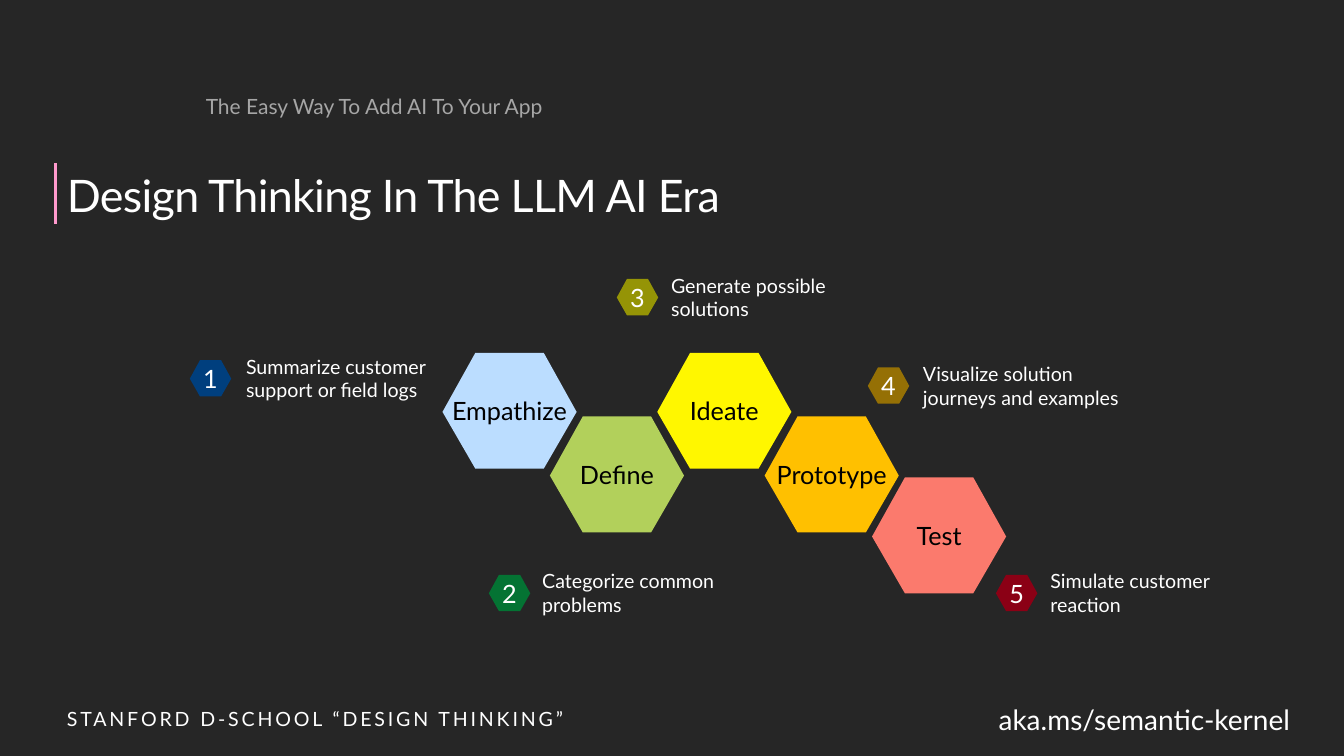
import pptx
import pptx.dml.color
import pptx.enum.shapes
import pptx.enum.text
import pptx.oxml.ns
import pptx.util
from lxml import etree

Pt = pptx.util.Pt
ALIGN = pptx.enum.text.PP_ALIGN
ANCHOR = pptx.enum.text.MSO_ANCHOR
FONT = "Lato"
WHITE, BLACK, GRAY = "FFFFFF", "000000", "A6A6A6"

# Hexagon corners as fractions of its width and height
CORNERS = [(0, 0.51), (0.245, 0), (0.755, 0), (1, 0.51), (0.755, 1), (0.245, 1)]

STAGE_SIZE = (95.8, 82.8)
STAGE_LEFT, STAGE_STEP = 316.1, 76.7
STAGES = [  # name, top, fill
    ("Empathize", 252, "BBDDFF"),
    ("Define", 297.5, "B2D05B"),
    ("Ideate", 252, "FFF700"),
    ("Prototype", 297.5, "FFC000"),
    ("Test", 341, "FB7A6D"),
]

BADGE_SIZE = (29.6, 25.9)
CALLOUTS = [  # badge left, badge top, fill, label left, label width, label
    (135.6, 257.3, "003F7E", 171.4, 142, "Summarize customer support or field logs"),
    (349.2, 410.6, "047333", 383, 142, "Categorize common problems"),
    (440.6, 199.3, "959406", 475, 142, "Generate possible solutions"),
    (619.9, 262.5, "957005", 655, 155.5, "Visualize solution journeys and examples"),
    (711.4, 410.6, "8B0015", 746, 142, "Simulate customer reaction"),
]


def color(hex_string):
    return pptx.dml.color.RGBColor.from_string(hex_string)


def write_text(shape, text, size, text_color, insets=(0, 0, 0, 0),
               anchor=ANCHOR.TOP, align=ALIGN.LEFT, spacing=0):
    frame = shape.text_frame
    frame.word_wrap = True
    frame.vertical_anchor = anchor
    frame.margin_left, frame.margin_top, frame.margin_right, frame.margin_bottom = map(Pt, insets)
    para = frame.paragraphs[0]
    para.alignment = align
    para.font.name = FONT
    para.font.size = Pt(size)
    para.font.color.rgb = color(text_color)
    span = para.add_run()
    span.text = text
    if spacing:
        span._r.get_or_add_rPr().set("spc", str(round(spacing * 100)))


def add_text(shapes, left, top, width, height, text, size, text_color=WHITE, **options):
    box = shapes.add_textbox(Pt(left), Pt(top), Pt(width), Pt(height))
    write_text(box, text, size, text_color, **options)


def add_hexagon(shapes, left, top, size, fill, text, text_color):
    width, height = size
    points = [(Pt(left + x * width), Pt(top + y * height)) for x, y in CORNERS]
    builder = shapes.build_freeform(*points[0])
    builder.add_line_segments(points[1:], close=True)
    hexagon = builder.convert_to_shape()
    hexagon.shadow.inherit = False
    hexagon.fill.solid()
    hexagon.fill.fore_color.rgb = color(fill)
    hexagon.line.fill.background()
    write_text(hexagon, text, 18, text_color, anchor=ANCHOR.MIDDLE, align=ALIGN.CENTER)


def add_callout(shapes, number, left, top, fill, label_left, label_width, label):
    group = shapes.add_group_shape()
    add_text(group.shapes, label_left, top - 8.1, label_width, 42, label, 14,
             insets=(4.3, 4.3, 4.3, 4.3), anchor=ANCHOR.MIDDLE)
    add_hexagon(group.shapes, left, top, BADGE_SIZE, fill, str(number), WHITE)


def add_line(shapes, x1, y1, x2, y2, line_color, width):
    line = shapes.add_connector(pptx.enum.shapes.MSO_CONNECTOR.STRAIGHT,
                                Pt(x1), Pt(y1), Pt(x2), Pt(y2))
    line.line.color.rgb = color(line_color)
    line.line.width = Pt(width)
    etree.SubElement(line._element.spPr, pptx.oxml.ns.qn("a:effectLst"))


def main():
    deck = pptx.Presentation()
    deck.slide_width, deck.slide_height = Pt(960), Pt(540)
    page = deck.slides.add_slide(deck.slide_layouts[6])
    page.background.fill.solid()
    page.background.fill.fore_color.rgb = color("262626")
    shapes = page.shapes

    # Header and footer
    heading_insets = (0, 3.6, 7.2, 3.6)
    add_text(shapes, 713.3, 502, 221, 24.5, "aka.ms/semantic-kernel", 20)
    add_text(shapes, 147, 63.5, 511, 25, "The Easy Way To Add AI To Your App", 15, GRAY,
             insets=heading_insets)
    add_line(shapes, 39.6, 116.6, 39.6, 159.8, "FF99CC", 2.25)
    add_text(shapes, 47.8, 116.6, 867.6, 44, "Design Thinking In The LLM AI Era", 32,
             insets=heading_insets, spacing=-0.5)
    add_text(shapes, 47.8, 504.7, 422.6, 17.3, "STANFORD D-SCHOOL “DESIGN THINKING”", 14,
             spacing=2)

    # Numbered callouts
    for number, callout in enumerate(CALLOUTS, start=1):
        add_callout(shapes, number, *callout)

    # Chain of stages
    for index, (name, top, fill) in enumerate(STAGES):
        add_hexagon(shapes, STAGE_LEFT + index * STAGE_STEP, top, STAGE_SIZE, fill, name, BLACK)

    deck.save("out.pptx")


if __name__ == "__main__":
    main()
